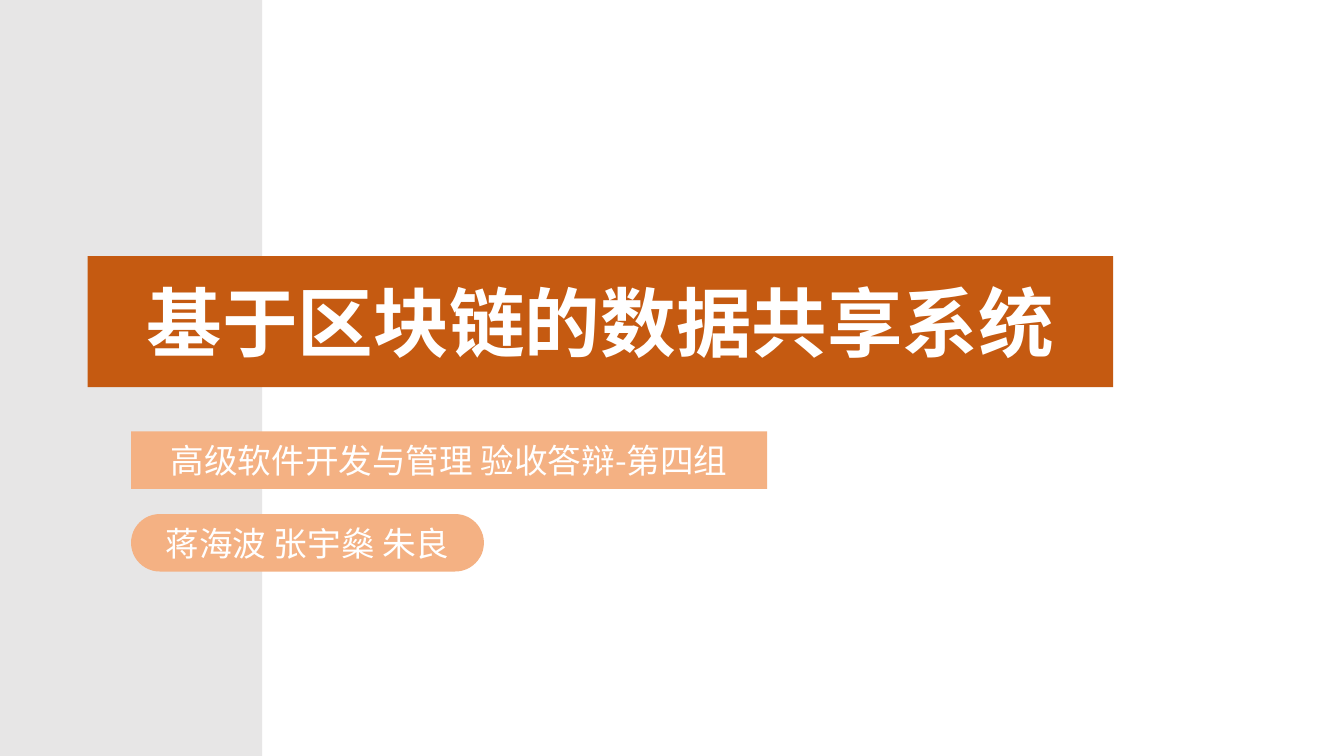
from dataclasses import dataclass

from pptx import Presentation
from pptx.dml.color import RGBColor
from pptx.enum import shapes, text
from pptx.oxml import parse_xml
from pptx.oxml.ns import nsdecls
from pptx.util import Inches, Pt


@dataclass(frozen=True)
class Theme:
    font: str = "Noto Sans CJK SC"
    sidebar: RGBColor = RGBColor(0xE7, 0xE6, 0xE6)
    strong: RGBColor = RGBColor(0xC5, 0x5A, 0x11)
    soft: RGBColor = RGBColor(0xF4, 0xB1, 0x83)
    white: RGBColor = RGBColor(0xFF, 0xFF, 0xFF)
    title_size: Pt = Pt(54)
    detail_size: Pt = Pt(24)


theme = Theme()
PILL = (
    f'<a:prstGeom {nsdecls("a")} prst="roundRect"><a:avLst>'
    '<a:gd name="adj" fmla="val 50000"/></a:avLst></a:prstGeom>'
)


def paint(shape, color):
    shape.fill.solid()
    shape.fill.fore_color.rgb = color
    shape.line.fill.background()


def label_pill(pill, box, color, wording, size, bold):
    """Place a fully rounded bar and centre one line of white text in it."""
    pill.left, pill.top, pill.width, pill.height = (Inches(n) for n in box)
    if pill.is_placeholder:
        pill.element.spPr.insert(1, parse_xml(PILL))
    else:
        pill.adjustments[0] = 0.5
        pill.shadow.inherit = False
    paint(pill, color)

    frame = pill.text_frame
    frame.word_wrap = True
    frame.auto_size = text.MSO_AUTO_SIZE.NONE
    frame.vertical_anchor = text.MSO_ANCHOR.MIDDLE
    line = frame.paragraphs[0]
    line.alignment = text.PP_ALIGN.CENTER
    line.space_before = Pt(0)
    run = line.add_run()
    run.text = wording
    run.font.name = theme.font
    run.font.size = size
    run.font.bold = bold
    run.font.color.rgb = theme.white
    run.font._element.append(
        parse_xml(f'<a:ea {nsdecls("a")} typeface="{theme.font}"/>')
    )


prs = Presentation()
prs.slide_width, prs.slide_height = Inches(13.33), Inches(7.5)
slide = prs.slides.add_slide(prs.slide_layouts[0])
title, course = slide.placeholders

sidebar = slide.shapes.add_shape(
    shapes.MSO_SHAPE.RECTANGLE, 0, 0, Inches(2.6), prs.slide_height
)
sidebar.shadow.inherit = False
paint(sidebar, theme.sidebar)
# The sidebar lies behind the title and the course line.
title.element.addprevious(sidebar.element)

members = slide.shapes.add_shape(shapes.MSO_SHAPE.ROUNDED_RECTANGLE, 0, 0, 0, 0)

label_pill(title, (0.87, 2.54, 10.17, 1.3), theme.strong,
           "基于区块链的数据共享系统", theme.title_size, True)
details = [
    (course, 4.28, 6.31, "高级软件开发与管理 验收答辩-第四组"),
    (members, 5.1, 3.5, "蒋海波 张宇燊 朱良"),
]
for pill, top, width, wording in details:
    label_pill(pill, (1.3, top, width, 0.57), theme.soft,
               wording, theme.detail_size, False)

prs.save("out.pptx")
